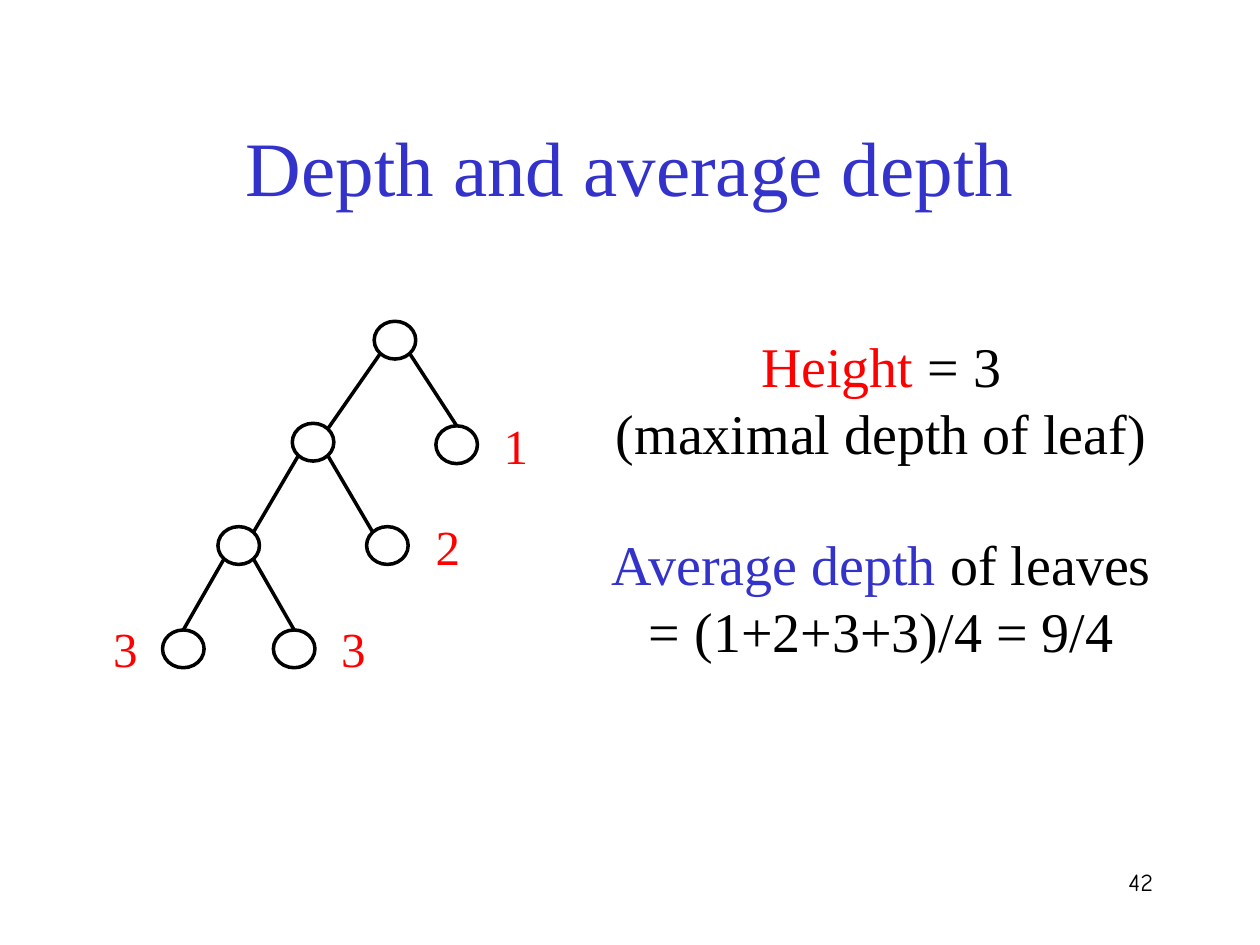
from lxml import etree
from pptx import Presentation
from pptx.dml.color import RGBColor
from pptx.enum import shapes, text
from pptx.oxml.ns import qn
from pptx.util import Inches, Pt

BLACK = RGBColor(0x00, 0x00, 0x00)
RED = RGBColor(0xFF, 0x00, 0x00)
BLUE = RGBColor(0x33, 0x33, 0xCC)
SERIF = "Times New Roman"

deck = Presentation()
deck.slide_width, deck.slide_height = Inches(10), Inches(7.5)
slide = deck.slides.add_slide(deck.slide_layouts[6])


def add_text(box, lines, size, font=SERIF, align=text.PP_ALIGN.CENTER):
    """Write lines of (words, colour) runs, parted by line breaks."""
    frame = slide.shapes.add_textbox(*map(Inches, box)).text_frame
    frame.word_wrap = True
    paragraph = frame.paragraphs[0]
    paragraph.alignment = align
    for number, line in enumerate(lines):
        if number:
            paragraph.add_line_break()
        for words, colour in line:
            run = paragraph.add_run()
            run.text = words
            run.font.size = Pt(size)
            run.font.name = font
            run.font.color.rgb = colour


# Page number and title
add_text((7.17, 6.83, 2.08, 0.5), [[("42", BLACK)]], 14, "Comic Neue",
         text.PP_ALIGN.RIGHT)
add_text((0, 0.9, 10, 0.84), [[("Depth and average depth", BLUE)]], 44)

# Tree nodes: left and top of each circle
NODE_W, NODE_H = 0.33, 0.3
nodes = {
    "root": (2.97, 2.55),
    "left": (2.32, 3.36), "leaf 1": (3.46, 3.38),
    "left left": (1.73, 4.18), "leaf 2": (2.91, 4.18),
    "leaf 3a": (1.29, 5), "leaf 3b": (2.17, 5),
}
for left, top in nodes.values():
    node = slide.shapes.add_shape(
        shapes.MSO_SHAPE.OVAL, Inches(left), Inches(top),
        Inches(NODE_W), Inches(NODE_H))
    node.shadow.inherit = False
    node.fill.background()
    node.line.color.rgb = BLACK
    node.line.width = Pt(2)

# Tree edges: parent, child, side of the parent, side of the child (0 = top)
edges = [
    ("root", "left", -1, 1), ("root", "leaf 1", 1, 0),
    ("left", "left left", -1, 1), ("left", "leaf 2", 1, -1),
    ("left left", "leaf 3a", -1, 0), ("left left", "leaf 3b", 1, 0),
]
DIAGONAL = 0.5 ** 0.5
for parent, child, parent_side, child_side in edges:
    start_x = nodes[parent][0] + NODE_W / 2 * (1 + parent_side * DIAGONAL)
    start_y = nodes[parent][1] + NODE_H / 2 * (1 + DIAGONAL)
    end_x = nodes[child][0] + NODE_W / 2 * (1 + child_side * DIAGONAL)
    end_y = nodes[child][1] + NODE_H / 2 * (1 - (DIAGONAL if child_side else 1))
    edge = slide.shapes.add_connector(
        shapes.MSO_CONNECTOR.STRAIGHT,
        *map(Inches, (start_x, start_y, end_x, end_y)))
    edge.line.color.rgb = BLACK
    edge.line.width = Pt(2)
    etree.SubElement(edge._element.spPr, qn("a:effectLst"))

# Depth beside each leaf
for depth, left, top in [("1", 3.71, 3.25), ("2", 3.17, 4.05),
                         ("3", 2.42, 4.86), ("3", 0.61, 4.86)]:
    add_text((left, top, 0.77, 0.57), [[(depth, RED)]], 28)

# Height and average depth
add_text((4.61, 2.58, 4.77, 1.18),
         [[("Height", RED), (" = 3", BLACK)],
          [("(maximal depth of leaf)", BLACK)]], 32)
add_text((4.4, 4.15, 5.19, 1.18),
         [[("Average depth ", BLUE), ("of leaves", BLACK)],
          [("= (1+2+3+3)/4 = 9/4", BLACK)]], 32)

deck.save("out.pptx")
